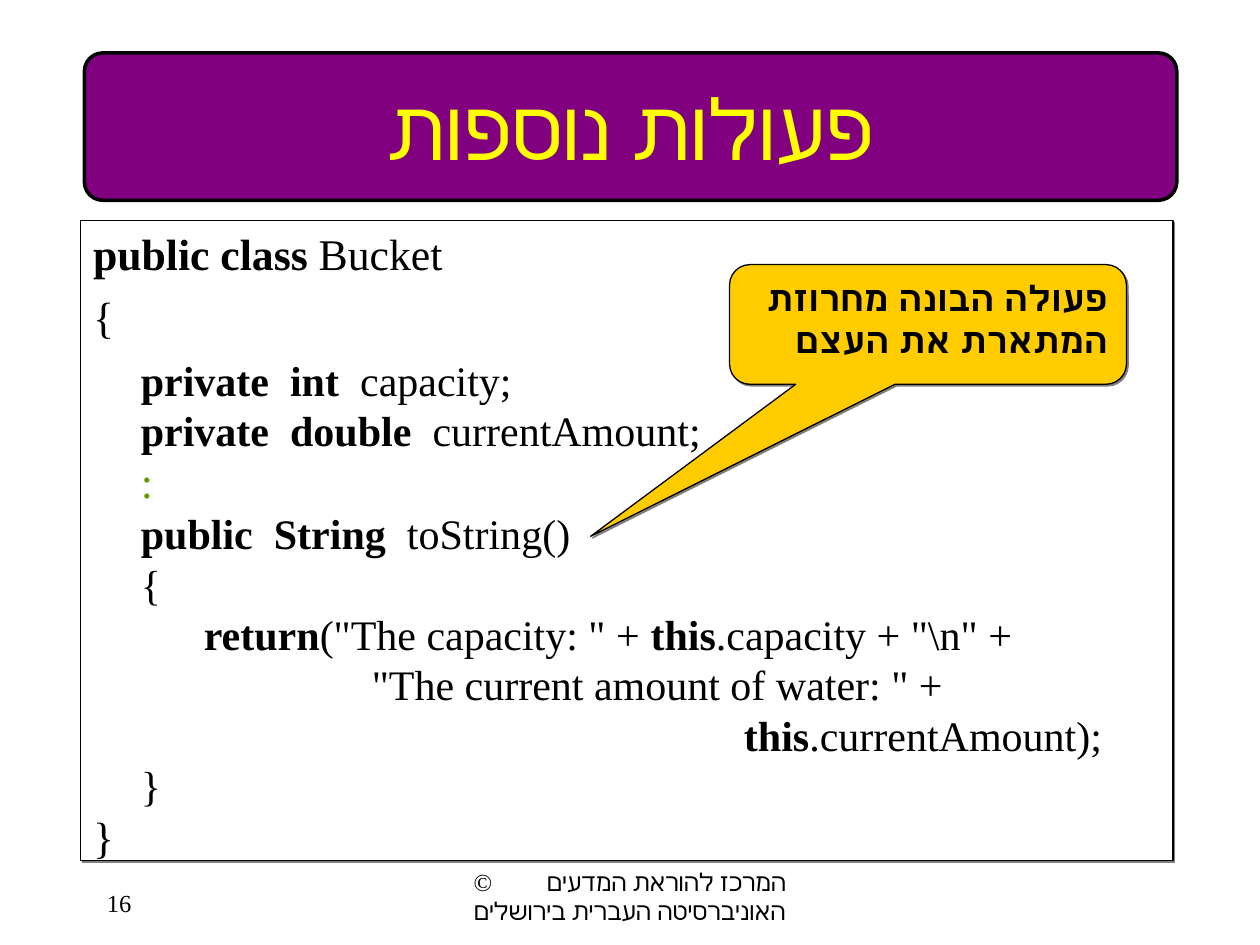
from dataclasses import dataclass

from lxml.etree import SubElement
from pptx import Presentation
from pptx.dml.color import RGBColor
from pptx.enum.shapes import MSO_SHAPE
from pptx.enum.text import MSO_ANCHOR, PP_ALIGN
from pptx.oxml.ns import qn
from pptx.util import Inches, Pt


@dataclass(frozen=True)
class Theme:
    """Colours, font and type sizes of the slide."""
    font: str = "Times New Roman"
    black: str = "000000"
    white: str = "FFFFFF"
    purple: str = "800080"
    yellow: str = "FFFF00"
    gold: str = "FFCC00"
    green: str = "669900"
    grey: str = "808080"
    title: int = 48
    code_large: int = 25
    code: int = 24
    callout: int = 20
    footer: int = 14


THEME = Theme()
CODE_LINES = [
    ("**public class** Bucket", THEME.code_large, 0),
    ("{", THEME.code_large, 6),
    ("\t**private  int**  capacity;", THEME.code, 7),
    ("\t**private  double**  currentAmount;", THEME.code, 0),
    ("\t:", THEME.code_large, 0),
    ("\t**public  String  **toString()", THEME.code, 0),
    ("\t{", THEME.code, 0),
    ('\t\t**return**("The capacity: " + **this**.capacity + "\\n" +', THEME.code, 0),
    ('\t\t\t          "The current amount of water: " +', THEME.code, 0),
    (" " * 62 + "**this**.currentAmount);", THEME.code, 0),
    ("\t}", THEME.code, 0),
    ("}", THEME.code_large, 0),
]


def add_box(slide, box, preset, fill, line_width):
    """Add a filled and outlined shape without shadow."""
    shape = slide.shapes.add_shape(preset, *map(Inches, box))
    shape.shadow.inherit = False
    shape.fill.solid()
    shape.fill.fore_color.rgb = RGBColor.from_string(fill)
    shape.line.color.rgb = RGBColor.from_string(THEME.black)
    shape.line.width = Pt(line_width)
    return shape


def add_shadow(shape):
    """Give the shape a hard grey shadow to the lower right."""
    effects = shape._element.spPr.find(qn("a:effectLst"))
    shadow = SubElement(effects, qn("a:outerShdw"), blurRad="0", dist=str(Pt(1.4)),
                        dir="2700000", algn="ctr", rotWithShape="0")
    SubElement(shadow, qn("a:srgbClr"), val=THEME.grey)


def add_tabs(paragraph, stops):
    """Set left tab stops, given in inches."""
    tabs = SubElement(paragraph._p.get_or_add_pPr(), qn("a:tabLst"))
    for stop in stops:
        SubElement(tabs, qn("a:tab"), pos=str(Inches(stop)), algn="l")


def style_font(font, size, color=THEME.black, bold=False):
    """Apply the theme font with a size, colour and weight."""
    font.name = THEME.font
    font.size = Pt(size)
    font.bold = bold
    font.color.rgb = RGBColor.from_string(color)


def write_paragraph(frame, text, size, alignment, color=THEME.black, bold=False, rtl=False):
    """Fill a text frame with one formatted paragraph."""
    frame.text = text
    paragraph = frame.paragraphs[0]
    paragraph.alignment = alignment
    if rtl:
        paragraph._p.get_or_add_pPr().set("rtl", "1")
    for run in paragraph.runs:
        style_font(run.font, size, color, bold)
    return paragraph


def add_title(slide, box):
    """Draw the title banner."""
    banner = add_box(slide, box, MSO_SHAPE.ROUNDED_RECTANGLE, THEME.purple, 2)
    banner.adjustments[0] = 0.125
    banner.text_frame.word_wrap = False
    banner.text_frame.vertical_anchor = MSO_ANCHOR.MIDDLE
    write_paragraph(banner.text_frame, "פעולות נוספות", THEME.title,
                    PP_ALIGN.CENTER, THEME.yellow, rtl=True)


def add_code(slide, box):
    """Draw the code panel, with keywords between double asterisks in bold."""
    panel = add_box(slide, box, MSO_SHAPE.RECTANGLE, THEME.white, 0.75)
    add_shadow(panel)
    frame = panel.text_frame
    frame.word_wrap = True
    frame.vertical_anchor = MSO_ANCHOR.TOP
    for index, (line, size, space_before) in enumerate(CODE_LINES):
        paragraph = frame.add_paragraph() if index else frame.paragraphs[0]
        properties = paragraph._p.get_or_add_pPr()
        properties.set("marL", str(Inches(0.38)))
        properties.set("indent", str(Inches(-0.38)))
        add_tabs(paragraph, range(8))
        paragraph.alignment = PP_ALIGN.JUSTIFY
        paragraph.space_before = Pt(space_before)
        color = THEME.green if line.strip() == ":" else THEME.black
        for part, text in enumerate(line.split("**")):
            if text:
                run = paragraph.add_run()
                run.text = text
                style_font(run.font, size, color, bold=part % 2 == 1)


def add_callout(slide, box):
    """Draw the callout that points at the method."""
    callout = add_box(slide, box, MSO_SHAPE.ROUNDED_RECTANGULAR_CALLOUT, THEME.gold, 0.75)
    add_shadow(callout)
    for index, value in enumerate((-0.85, 1.77, 0.17)):
        callout.adjustments[index] = value
    callout.text_frame.word_wrap = True
    callout.text_frame.vertical_anchor = MSO_ANCHOR.TOP
    write_paragraph(callout.text_frame, "פעולה הבונה מחרוזת המתארת את העצם",
                    THEME.callout, PP_ALIGN.RIGHT, bold=True, rtl=True)


def add_footer(slide, box):
    """Write the copyright line and the slide number in the footer band."""
    left, top, width, height = box
    credit = slide.shapes.add_textbox(
        Inches(left + 2.67), Inches(top), Inches(width), Inches(height))
    credit.text_frame.word_wrap = True
    credit.text_frame.margin_left = Inches(0.34)
    paragraph = write_paragraph(
        credit.text_frame, "©\tהמרכז להוראת המדעים\vהאוניברסיטה העברית בירושלים",
        THEME.footer, PP_ALIGN.LEFT)
    add_tabs(paragraph, [0.58])
    number = slide.shapes.add_textbox(
        Inches(left), Inches(top + 0.17), Inches(0.5), Inches(height))
    number.text_frame.word_wrap = True
    write_paragraph(number.text_frame, "16", THEME.footer, PP_ALIGN.LEFT)


def main():
    """Build and save the slide."""
    presentation = Presentation()
    presentation.slide_width = Inches(10)
    presentation.slide_height = Inches(7.5)
    slide = presentation.slides.add_slide(presentation.slide_layouts[6])
    add_title(slide, (0.67, 0.42, 8.67, 1.17))
    add_code(slide, (0.64, 1.75, 8.67, 5.08))
    add_callout(slide, (5.79, 2.1, 3.15, 0.95))
    add_footer(slide, (0.75, 6.83, 3.17, 0.5))
    presentation.save("out.pptx")


if __name__ == "__main__":
    main()
